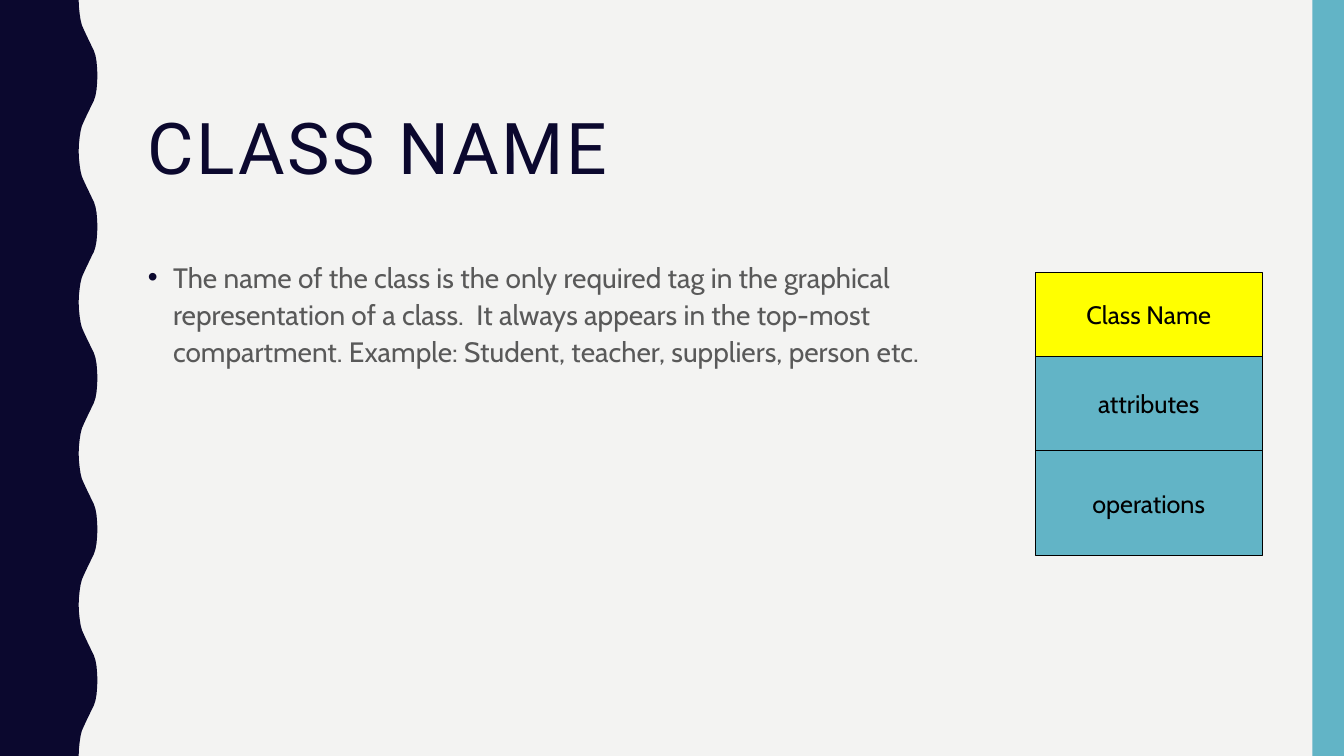
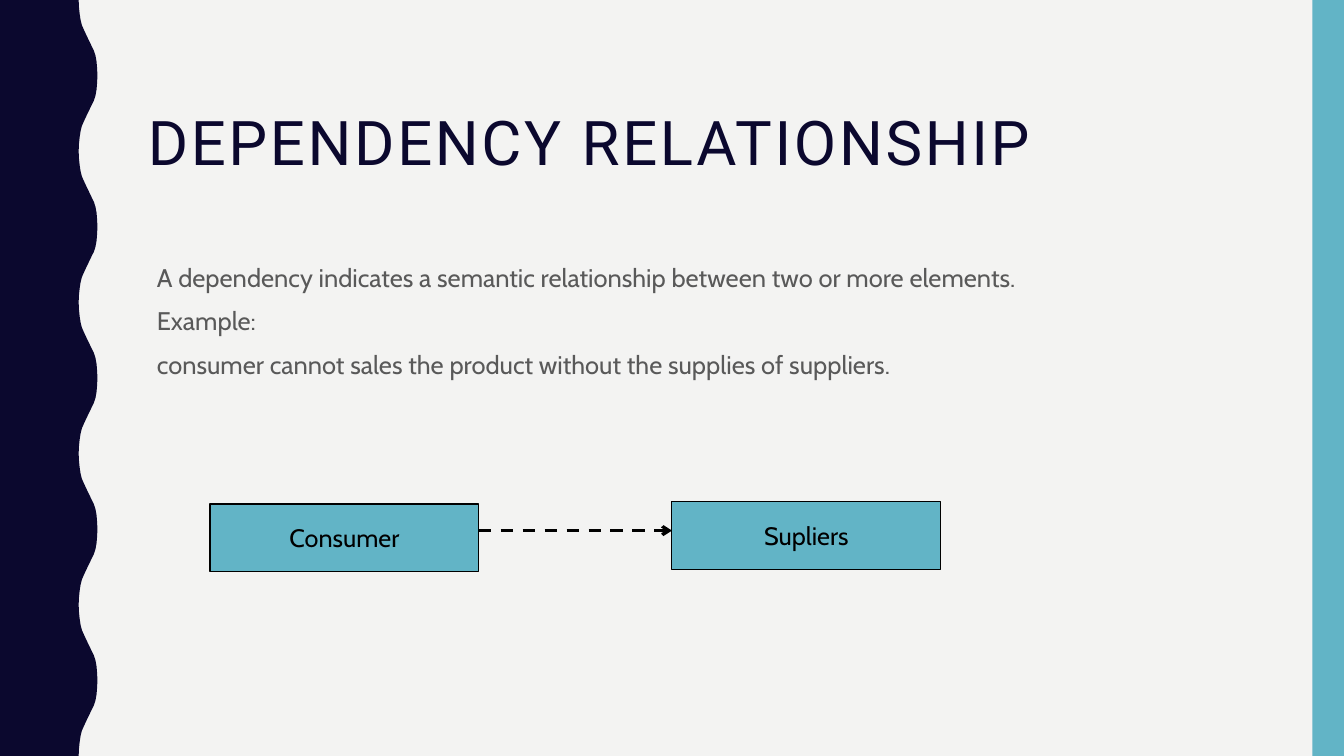
from lxml import etree
from pptx import Presentation
from pptx.dml.color import RGBColor
from pptx.enum.dml import MSO_LINE
from pptx.enum.shapes import MSO_CONNECTOR, MSO_SHAPE
from pptx.enum.text import MSO_ANCHOR, PP_ALIGN
from pptx.oxml.ns import qn
from pptx.util import Pt

RECTANGLE = MSO_SHAPE.RECTANGLE
STRAIGHT = MSO_CONNECTOR.STRAIGHT
DASH = MSO_LINE.DASH
MIDDLE = MSO_ANCHOR.MIDDLE
CENTER = PP_ALIGN.CENTER

WIDTH, HEIGHT = 960, 540
COLORS = {
    "paper": "F3F3F2",
    "navy": "0B082E",
    "teal": "62B4C6",
    "highlight": "FFFF00",
    "body": "595959",
    "ink": "000000",
}
HEADING_FONT, BODY_FONT = "Roboto", "Cabin"

WAVE_PERIOD = 108
HALF_WAVE = [
    (56.2, 0), (56.4, 5), (56.9, 10), (57.6, 14.4), (58.5, 18),
    (59.8, 21), (61.2, 24), (62.6, 27), (64.1, 30), (65.5, 33),
    (67, 36), (68.2, 39.6), (69, 44), (69.4, 49), (69.6, 54),
]


def rgb(color):
    return RGBColor.from_string(COLORS[color])


def wave_edge():
    """Mirror the half wave into a full one and repeat it down the slide."""
    mirrored = [(x, WAVE_PERIOD - y) for x, y in reversed(HALF_WAVE[:-1])]
    return [(x, top + y)
            for top in range(0, HEIGHT, WAVE_PERIOD)
            for x, y in HALF_WAVE + mirrored]


class Deck:
    def __init__(self):
        self.prs = Presentation()
        self.prs.slide_width, self.prs.slide_height = Pt(WIDTH), Pt(HEIGHT)
        backdrop = self.prs.slide_master.background.fill
        backdrop.solid()
        backdrop.fore_color.rgb = rgb("paper")
        self.slide = None

    def new_slide(self, title, size):
        """Start a slide with the wavy band, the side band and a title."""
        self.slide = self.prs.slides.add_slide(self.prs.slide_layouts[6])
        self.wave()
        self.rectangle(937.5, 0, 22.5, HEIGHT, "teal")
        heading = self.text(98.5, 77, 801, 117, [title], size, "navy",
                            HEADING_FONT, spacing=0.9)[0]
        heading.runs[0].font._element.set("spc", "190")

    def paint(self, shape, fill):
        shape.shadow.inherit = False
        shape.fill.solid()
        shape.fill.fore_color.rgb = rgb(fill)
        shape.line.fill.background()

    def wave(self):
        builder = self.slide.shapes.build_freeform(0, 0, scale=1.0)
        outline = wave_edge() + [(0, HEIGHT)]
        builder.add_line_segments([(Pt(x), Pt(y)) for x, y in outline])
        self.paint(builder.convert_to_shape(), "navy")

    def rectangle(self, left, top, width, height, fill):
        shape = self.slide.shapes.add_shape(
            RECTANGLE, Pt(left), Pt(top), Pt(width), Pt(height))
        self.paint(shape, fill)
        return shape

    def style(self, paragraph, size, color, font=BODY_FONT):
        for run in paragraph.runs:
            run.font.name, run.font.size = font, Pt(size)
            run.font.color.rgb = rgb(color)

    def text(self, left, top, width, height, lines, size, color,
             font=BODY_FONT, spacing=1.1, before=0):
        frame = self.slide.shapes.add_textbox(
            Pt(left), Pt(top), Pt(width), Pt(height)).text_frame
        frame.word_wrap = True
        frame.text = "\n".join(lines)
        for paragraph in frame.paragraphs:
            paragraph.line_spacing = spacing
            paragraph.space_before = Pt(before)
            self.style(paragraph, size, color, font)
        return frame.paragraphs

    def body(self, left, top, width, height, lines, size):
        return self.text(left, top, width, height, lines, size, "body",
                         before=7)

    def bullet(self, paragraph, indent=18):
        props = paragraph._p.get_or_add_pPr()
        props.set("marL", str(Pt(indent)))
        props.set("indent", str(-Pt(indent)))
        tint = etree.SubElement(props, qn("a:buClr"))
        etree.SubElement(tint, qn("a:srgbClr"), val=COLORS["navy"])
        etree.SubElement(props, qn("a:buFont"), typeface="Arial")
        etree.SubElement(props, qn("a:buChar"), char="•")

    def box(self, left, top, width, height, label, fill="teal"):
        shape = self.rectangle(left, top, width, height, fill)
        shape.line.color.rgb = rgb("ink")
        shape.line.width = Pt(0.75)
        frame = shape.text_frame
        frame.word_wrap = False
        frame.vertical_anchor = MIDDLE
        frame.text = label
        frame.paragraphs[0].alignment = CENTER
        self.style(frame.paragraphs[0], 18, "ink")

    def dashed_arrow(self, start, end, y):
        arrow = self.slide.shapes.add_connector(
            STRAIGHT, Pt(start), Pt(y), Pt(end), Pt(y))
        arrow.line.color.rgb = rgb("ink")
        arrow.line.width = Pt(2.25)
        arrow.line.dash_style = DASH
        etree.SubElement(arrow.line._get_or_add_ln(), qn("a:tailEnd"),
                         type="arrow")
        etree.SubElement(arrow._element.spPr, qn("a:effectLst"))


def class_name_slide(deck):
    deck.new_slide("CLASS NAME", 51)
    definition = deck.body(98.5, 180, 641, 283, [
        "The name of the class is the only required tag in the graphical "
        "representation of a class.  It always appears in the top-most "
        "compartment. Example: Student, teacher, suppliers, person etc."], 20)
    deck.bullet(definition[0])

    top = 194.5
    for label, height, fill in [("Class Name", 60, "highlight"),
                                ("attributes", 67.5, "teal"),
                                ("operations", 75, "teal")]:
        deck.box(739.5, top, 162, height, label, fill)
        top += height


def dependency_slide(deck):
    deck.new_slide("DEPENDENCY RELATIONSHIP", 44)
    deck.body(105, 181.5, 801, 117, [
        "A dependency indicates a semantic relationship between two or more "
        "elements.",
        "Example:",
        "consumer cannot sales the product without the supplies of "
        "suppliers."], 18.2)

    consumer_left, supplier_left, width, height = 150, 480, 192, 48
    deck.box(supplier_left, 358.5, width, height, "Supliers")
    deck.dashed_arrow(consumer_left + width, supplier_left, 379)
    deck.box(consumer_left, 360, width, height, "Consumer")


def main():
    deck = Deck()
    class_name_slide(deck)
    dependency_slide(deck)
    deck.prs.save("out.pptx")


if __name__ == "__main__":
    main()
